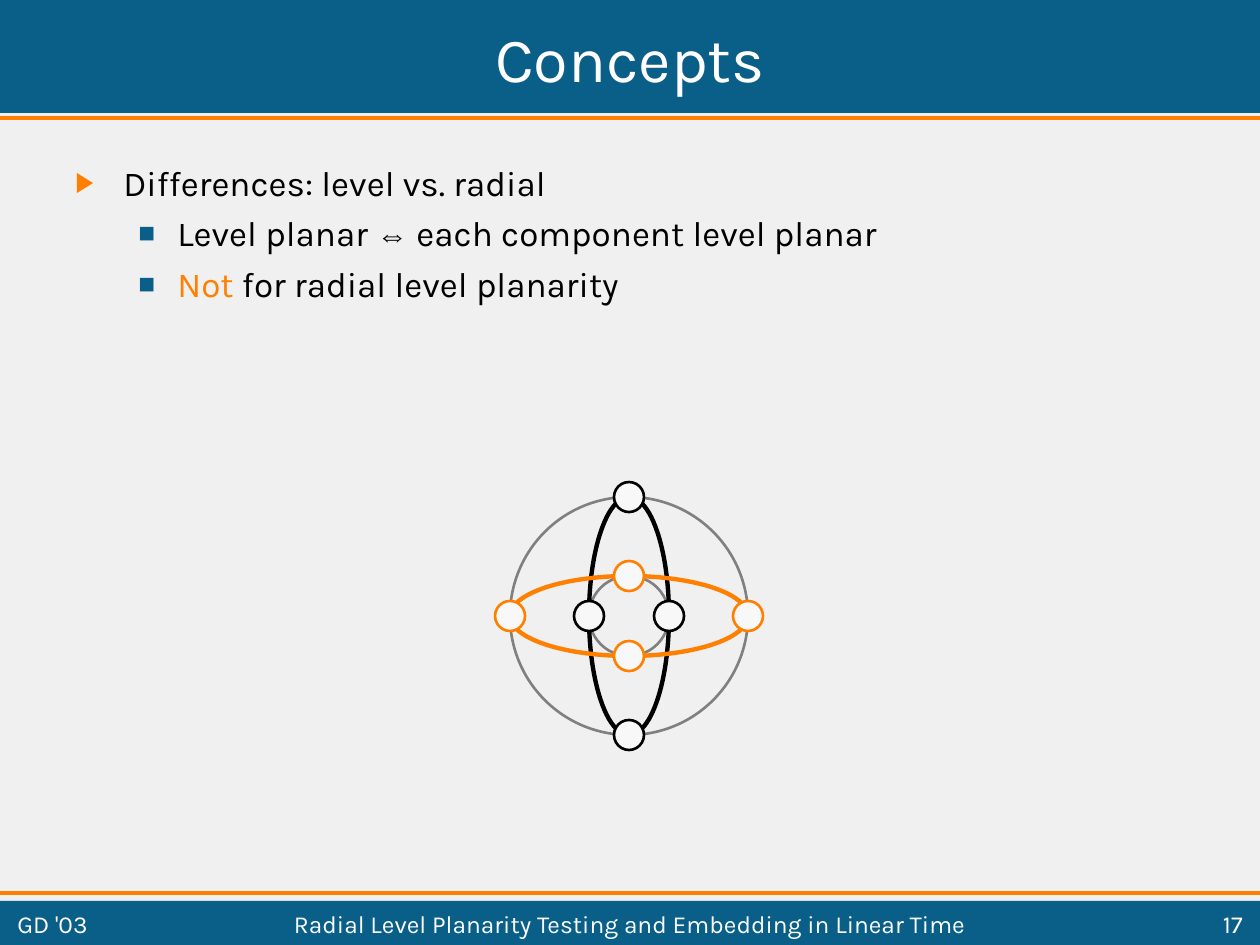
from lxml import etree
from pptx import Presentation
from pptx import util as u
from pptx.dml.color import RGBColor
from pptx.enum import shapes, text
from pptx.oxml.ns import qn

BLUE = RGBColor(0x0A, 0x5F, 0x89)
ORANGE = RGBColor(0xFF, 0x7F, 0x00)
PALE = RGBColor(0xF0, 0xF0, 0xF0)
NODE = RGBColor(0xF8, 0xF8, 0xF8)
GRAY = RGBColor(0x80, 0x80, 0x80)
BLACK = RGBColor(0, 0, 0)
WHITE = RGBColor(255, 255, 255)

LEFT, MID, RIGHT = text.PP_ALIGN.LEFT, text.PP_ALIGN.CENTER, text.PP_ALIGN.RIGHT
WIDE, HIGH = 1260, 945

TITLE = "Concepts"
# Each point: level, runs of (text, format)
POINTS = [
    (0, [("Differences: level vs. radial", {})]),
    (1, [("Level planar ", {}), ("⇔", dict(size=18, face="Arial")),
         (" each component level planar", {})]),
    (1, [("Not", dict(color=ORANGE)), (" for radial level planarity", {})]),
]
# Each level: bullet, colour, left margin, hanging indent
LEVELS = [("▶", ORANGE, 48, 48), ("■", BLUE, 102, 39)]
BANDS = [(0, 113), (901, 44)]
RULES = [118, 893]
FOOTER = [
    ("Radial Level Planarity Testing and Embedding in Linear Time", 164, 932, MID),
    ("17", 1106, 149, RIGHT),
    ("GD '03", 5, 149, LEFT),
]
CX, CY = 629, 616
OUTER, INNER, DOT = 119, 40, 15
# Each cycle: colour, horizontal and vertical radius
CYCLES = [(BLACK, INNER, OUTER), (ORANGE, OUTER, INNER)]


def px(n):
    return u.Inches(n / 126)


def write(para, words, size=20, face="Karla", color=BLACK):
    run = para.add_run()
    run.text = words
    run.font.size = u.Pt(size)
    run.font.name = face
    run.font.color.rgb = color


def box(x, y, w, h, anchor=text.MSO_ANCHOR.TOP):
    frame = slide.shapes.add_textbox(px(x), px(y), px(w), px(h)).text_frame
    frame.word_wrap = True
    frame.vertical_anchor = anchor
    return frame


def bullet(para, level):
    mark, color, left, hang = LEVELS[level]
    para.level = level
    props = para._p.get_or_add_pPr()
    props.set("marL", str(px(left)))
    props.set("indent", str(-px(hang)))
    tint = etree.SubElement(props, qn("a:buClr"))
    etree.SubElement(tint, qn("a:srgbClr"), val=str(color))
    etree.SubElement(props, qn("a:buSzPct"), val="80000")
    etree.SubElement(props, qn("a:buFont"), typeface="Arial")
    etree.SubElement(props, qn("a:buChar"), char=mark)


def oval(home, x, y, rx, ry, color, width, fill=None):
    """Ellipse about the centre (x, y)."""
    ring = home.add_shape(shapes.MSO_SHAPE.OVAL, px(x - rx), px(y - ry),
                          px(2 * rx), px(2 * ry))
    ring.shadow.inherit = False
    ring.line.color.rgb = color
    ring.line.width = u.Pt(width)
    if fill is None:
        ring.fill.background()
    else:
        ring.fill.solid()
        ring.fill.fore_color.rgb = fill


deck = Presentation()
deck.slide_width, deck.slide_height = px(WIDE), px(HIGH)
slide = deck.slides.add_slide(deck.slide_layouts[5])
slide.background.fill.solid()
slide.background.fill.fore_color.rgb = PALE

for top, tall in BANDS:
    band = slide.shapes.add_shape(shapes.MSO_SHAPE.RECTANGLE, 0, px(top),
                                  px(WIDE), px(tall))
    band.shadow.inherit = False
    band.fill.solid()
    band.fill.fore_color.rgb = BLUE
    band.line.fill.background()

for y in RULES:
    rule = slide.shapes.add_connector(shapes.MSO_CONNECTOR.STRAIGHT,
                                      0, px(y), px(WIDE), px(y))
    rule.line.color.rgb = ORANGE
    rule.line.width = u.Pt(2.25)
    etree.SubElement(rule._element.spPr, qn("a:effectLst"))

title = slide.shapes.title
title.left, title.top, title.width, title.height = px(5), px(5), px(1250), px(105)
title.text_frame.vertical_anchor = text.MSO_ANCHOR.MIDDLE
head = title.text_frame.paragraphs[0]
head.alignment = MID
write(head, TITLE, size=36, color=WHITE)
# The title was created first; bring it in front of the band.
slide.shapes._spTree.append(title._element)

body = box(63, 155, 1148, 258)
for i, (level, runs) in enumerate(POINTS):
    para = body.add_paragraph() if i else body.paragraphs[0]
    bullet(para, level)
    if i:
        para.space_before = u.Pt(5)
    for words, form in runs:
        write(para, words, **form)

for r in (OUTER, INNER):
    oval(slide.shapes, CX, CY, r, r, GRAY, 1.5)
for color, rx, ry in CYCLES:
    cycle = slide.shapes.add_group_shape().shapes
    oval(cycle, CX, CY, rx, ry, color, 2.5)
    for dx, dy in ((0, ry), (rx, 0), (0, -ry), (-rx, 0)):
        oval(cycle, CX + dx, CY + dy, DOT, DOT, color, 1.5, NODE)

for words, x, w, align in FOOTER:
    para = box(x, 906, w, 35, text.MSO_ANCHOR.MIDDLE).paragraphs[0]
    para.alignment = align
    write(para, words, size=14, color=WHITE)

deck.save("out.pptx")
